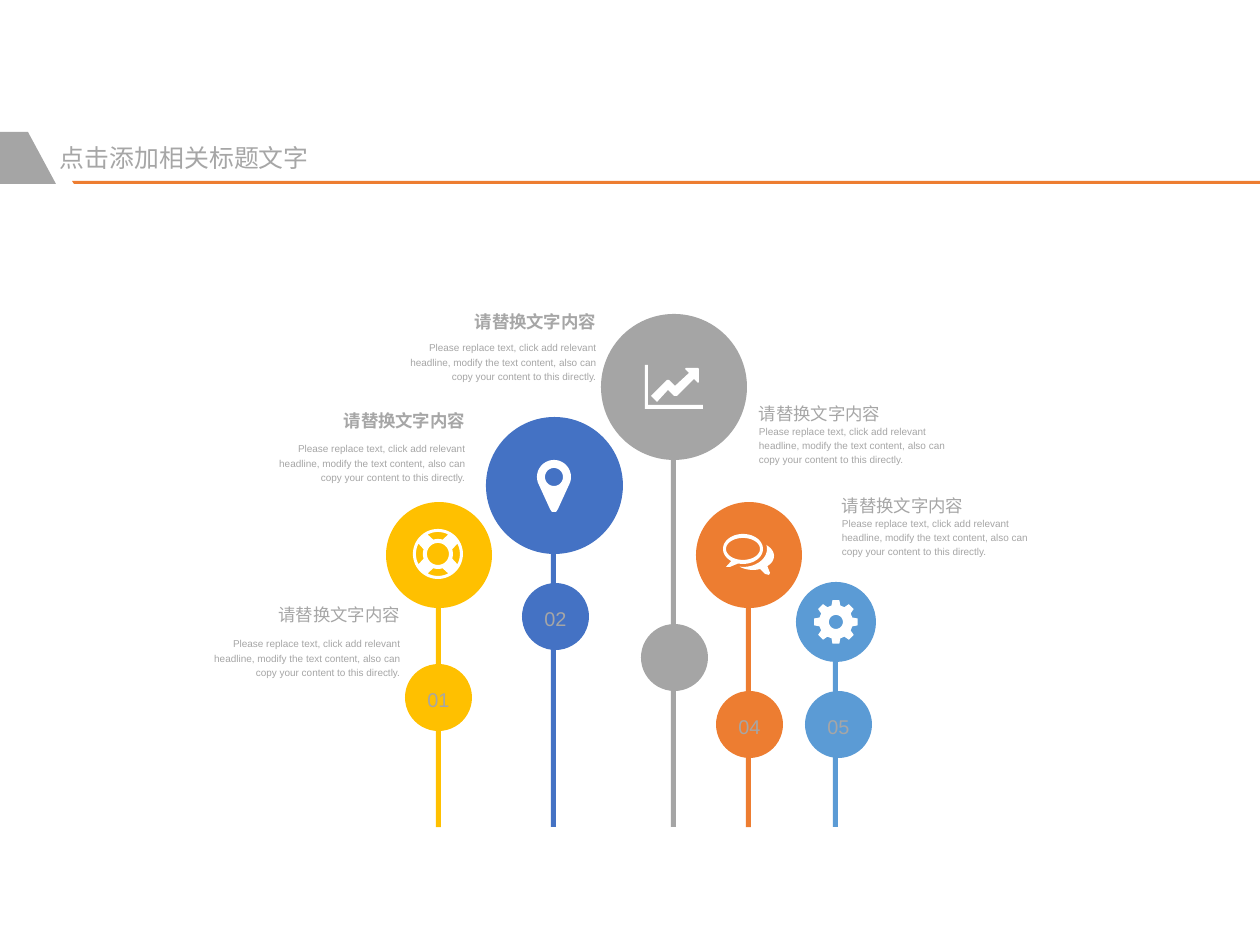
import math
import pptx
import pptx.util
import pptx.dml.color
import pptx.enum.shapes
import pptx.enum.text

PX = 7658
theme = {
    "gold": "FFC000", "blue": "4472C4", "gray": "A5A5A5",
    "orange": "ED7D31", "sky": "5B9BD5", "white": "FFFFFF", "ink": "A6A6A6",
    "font": "Arial", "title": 15, "head": 10.5, "body": 6, "number": 12,
}
kind = pptx.enum.shapes.MSO_SHAPE
align = pptx.enum.text.PP_ALIGN
anchor = pptx.enum.text.MSO_ANCHOR
fit = pptx.enum.text.MSO_AUTO_SIZE

deck = pptx.Presentation()
deck.slide_width = 1260 * PX
deck.slide_height = 945 * PX
slide = deck.slides.add_slide(deck.slide_layouts[6])
shapes = slide.shapes
paints = []
texts = []


def arc(x, y, wide, high, start, end):
    steps = max(2, round(abs(end - start) / 6))
    turns = [math.radians(start + (end - start) * i / steps) for i in range(steps + 1)]
    return [(x + wide * math.cos(t), y + high * math.sin(t)) for t in turns]


def outline(color, *loops):
    rings = [[(round(x * PX), round(y * PX)) for x, y in loop] for loop in loops]
    pen = shapes.build_freeform(*rings[0][0], scale=1.0)
    pen.add_line_segments(rings[0][1:], close=True)
    for ring in rings[1:]:
        pen.move_to(*ring[0])
        pen.add_line_segments(ring[1:], close=True)
    paints.append((pen.convert_to_shape(), color))


buoy = [arc(438, 554, 25, 25, 0, 360), arc(438, 554, 11, 11, 0, 360)]
for side in range(0, 360, 90):
    buoy.append(arc(438, 554, 22, 22, side - 28, side + 28)
                + arc(438, 554, 15, 15, side + 18, side - 18))

pin = [arc(554, 477, 17, 17, 160, 380) + [(558, 509), (556, 512), (552, 512), (550, 509)],
       arc(554, 477, 9, 9, 0, 360)]

chart = [
    [(645, 365), (648, 365), (648, 405), (703, 405), (703, 409), (645, 409)],
    [(699, 382), (698, 383), (694, 379), (677, 396), (674, 396), (668, 390),
     (657, 402), (651, 396), (667, 380), (669, 380), (675, 386), (689, 373),
     (685, 369), (686, 368), (698, 368), (699, 369)],
]

chat = [
    arc(743, 549, 20, 15, 126, 464) + [(730, 567), (726, 567)],
    arc(743, 549, 17, 11, 0, 360),
    arc(753, 556, 21, 14, -50, 47) + [(770, 573), (769, 575), (765, 574)]
    + arc(753, 556, 21, 14, 70, 130) + arc(743, 549, 24, 18, 90, -14),
]

teeth = []
for turn in range(0, 360, 45):
    for reach, lean in [(17, -15), (22, -9), (22, 9), (17, 15)]:
        angle = math.radians(turn + lean)
        teeth.append((836 + reach * math.cos(angle), 622 + reach * math.sin(angle)))
gear = [teeth, arc(836, 622, 7, 7, 0, 360)]

FLOOR, STEM, DOT = 827, 5, 67
trees = [
    ("gold", 436, 386, 502, 106, 405, 664, "01", buoy),
    ("blue", 551, 486, 417, 137, 522, 583, "02", pin),
    ("gray", 671, 601, 314, 146, 641, 624, "", chart),
    ("orange", 746, 696, 502, 106, 716, 691, "04", chat),
    ("sky", 833, 796, 582, 80, 805, 691, "05", gear),
]
for color, stem, left, top, size, dotx, doty, number, icon in trees:
    foot = top + size
    for form, x, y, w, h in [
        (kind.RECTANGLE, stem, foot, STEM, FLOOR - foot),
        (kind.OVAL, left, top, size, size),
        (kind.OVAL, dotx, doty, DOT, DOT),
    ]:
        part = shapes.add_shape(form, x * PX, y * PX, w * PX, h * PX)
        paints.append((part, color))
    if number:
        texts.append((part.text_frame, number, "number", False,
                      align.CENTER, anchor.MIDDLE, 1.2))
    outline("white", *icon)

HEAD = "请替换文字内容"
BODY = ("Please replace text, click add relevant headline, modify the text content, "
        "also can copy your content to this directly.")
boxes = [("点击添加相关标题文字", "title", 60, 143, 301, 30, False, align.LEFT, anchor.TOP, 1.0)]
for edge, head, body, bold in [(596, 308, 340, True), (465, 407, 441, True), (400, 601, 636, False)]:
    boxes.append((HEAD, "head", edge - 123, head, 123, 23, bold, align.RIGHT, anchor.MIDDLE, 1.2))
    boxes.append((BODY, "body", edge - 208, body, 208, 42, False, align.RIGHT, anchor.MIDDLE, 1.2))
for edge, head in [(759, 399), (842, 491)]:
    boxes.append((HEAD, "head", edge, head, 123, 23, False, align.LEFT, anchor.TOP, 1.2))
    boxes.append((BODY, "body", edge, head + 24, 204, 42, False, align.LEFT, anchor.TOP, 1.2))
for words, role, x, y, w, h, bold, side, hold, lead in boxes:
    frame = shapes.add_textbox(x * PX, y * PX, w * PX, h * PX).text_frame
    frame.auto_size = fit.SHAPE_TO_FIT_TEXT
    texts.append((frame, words, role, bold, side, hold, lead))

outline("orange", [(72, 181), (1260, 181), (1260, 184), (74, 184)])
outline("gray", [(28, 132), (56, 184), (0, 184), (0, 132)])

for shape, color in paints:
    shape.shadow.inherit = False
    shape.fill.solid()
    shape.fill.fore_color.rgb = pptx.dml.color.RGBColor.from_string(theme[color])
    shape.line.fill.background()

for frame, words, role, bold, side, hold, lead in texts:
    frame.text = words
    frame.word_wrap = role != "head"
    frame.vertical_anchor = hold
    frame.margin_left = frame.margin_right = frame.margin_top = frame.margin_bottom = 0
    line = frame.paragraphs[0]
    line.alignment = side
    line.line_spacing = lead
    font = line.runs[0].font
    font.name = theme["font"]
    font.size = pptx.util.Pt(theme[role])
    font.bold = bold
    font.color.rgb = pptx.dml.color.RGBColor.from_string(theme["ink"])

deck.save("out.pptx")
